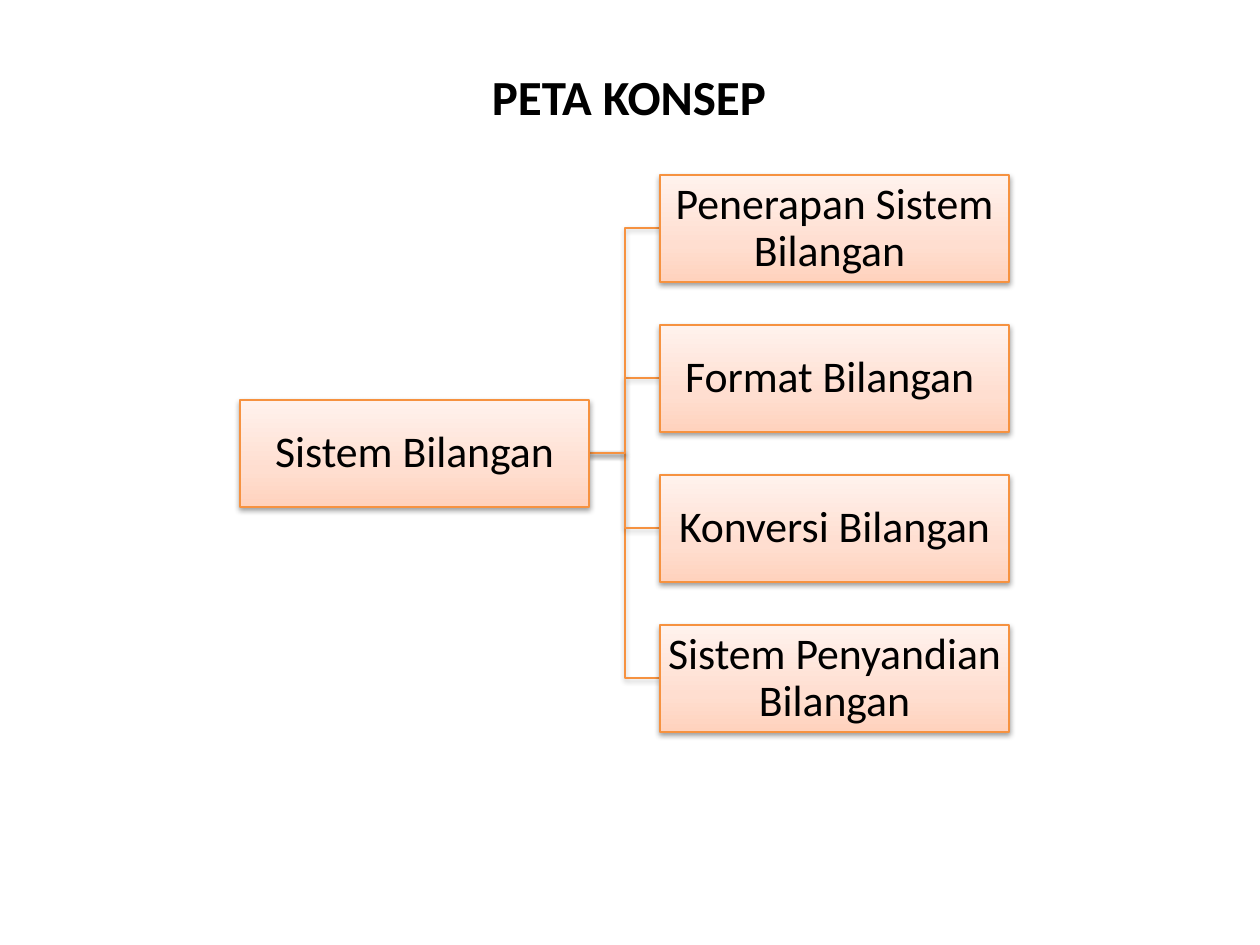
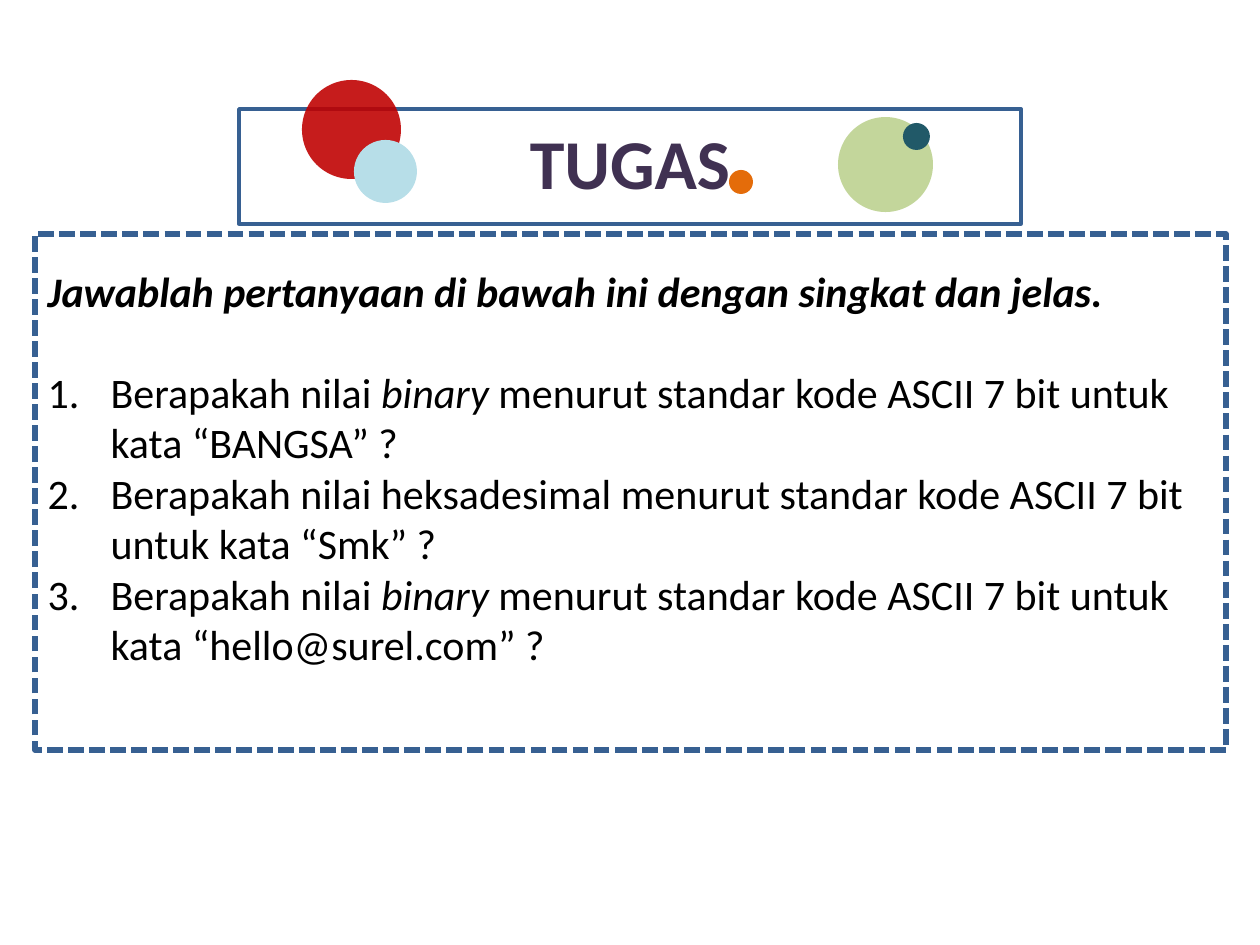
import copy
from dataclasses import dataclass

import pptx
import pptx.dml.color
import pptx.enum.dml
import pptx.enum.shapes
import pptx.enum.text
import pptx.oxml
import pptx.oxml.ns
import pptx.util

Pt = pptx.util.Pt
Align = pptx.enum.text.PP_ALIGN
Anchor = pptx.enum.text.MSO_ANCHOR
Kind = pptx.enum.shapes.MSO_SHAPE
qn = pptx.oxml.ns.qn

SCALE = 914400 / 126
FONT = "Calibri"
BLACK, WHITE, BLUE, PLUM, ORANGE = "000000", "FFFFFF", "376092", "403152", "F69240"
SHADES = ((0, "FFD2BD"), (0.35, "FFDED0"), (1, "FFF2ED"))


@dataclass
class Box:
    left: int
    top: int
    width: int
    height: int

    @property
    def right(self) -> int:
        return self.left + self.width

    @property
    def middle(self) -> int:
        return self.top + self.height // 2


@dataclass
class Run:
    text: str
    bold: bool = False
    italic: bool = False


@dataclass
class Dot:
    left: int
    top: int
    size: int
    color: str
    alpha: int = 100


ROOT = "Sistem Bilangan"
TOPICS = (
    "Penerapan Sistem Bilangan ",
    "Format Bilangan ",
    "Konversi Bilangan",
    "Sistem Penyandian Bilangan",
)
TOPIC = Box(660, 175, 349, 107)
PITCH = 150
TRUNK = 625

DOTS = (
    Dot(302, 80, 99, "C00000", 89),
    Dot(354, 140, 63, "B7DEE8"),
    Dot(838, 117, 95, "C3D69B"),
    Dot(903, 123, 27, "215968"),
    Dot(729, 170, 24, "E46C0A"),
)
ORDER = Run("Jawablah pertanyaan di bawah ini dengan singkat dan jelas.", True, True)
TASKS = (
    (Run("Berapakah nilai "), Run("binary ", italic=True),
     Run("menurut standar kode ASCII 7 bit untuk kata “BANGSA” ?")),
    (Run("Berapakah nilai heksadesimal menurut standar kode ASCII 7 bit untuk kata “Smk” ?"),),
    (Run("Berapakah nilai "), Run("binary ", italic=True),
     Run("menurut standar kode ASCII 7 bit untuk kata “hello@surel.com” ?")),
)


def px(length: float) -> int:
    return round(length * SCALE)


def rgb(code: str):
    return pptx.dml.color.RGBColor.from_string(code)


def place(shape, box: Box) -> None:
    shape.left, shape.top = px(box.left), px(box.top)
    shape.width, shape.height = px(box.width), px(box.height)


def paint(shape, color: str) -> None:
    shape.fill.solid()
    shape.fill.fore_color.rgb = rgb(color)


def edge(shape, color: str, width: float) -> None:
    shape.line.color.rgb = rgb(color)
    shape.line.width = Pt(width)


def write(para, runs, size: int, color: str = BLACK) -> None:
    for part in runs:
        run = para.add_run()
        run.text = part.text
        font = run.font
        font.name, font.size = FONT, Pt(size)
        font.bold, font.italic = part.bold, part.italic
        font.color.rgb = rgb(color)


def head(slide, text: str, box: Box, size: int, color: str = BLACK):
    """Set the title placeholder and return it."""
    title = slide.shapes.title
    place(title, box)
    frame = title.text_frame
    frame.auto_size = pptx.enum.text.MSO_AUTO_SIZE.NONE
    frame.vertical_anchor = Anchor.TOP
    para = frame.paragraphs[0]
    para.alignment = Align.CENTER
    write(para, [Run(text, bold=True)], size, color)
    return title


def shade(shape) -> None:
    """Give the upward three-stop gradient."""
    shape.fill.gradient()
    shape.fill.gradient_angle = 90
    stops = next(shape._element.spPr.iter(qn("a:gsLst")))
    stops.insert(1, copy.deepcopy(stops[0]))
    for stop, (spot, color) in zip(shape.fill.gradient_stops, SHADES):
        stop.position = spot
        stop.color.rgb = rgb(color)


def lift(shape) -> None:
    """Give the soft shadow below."""
    shape.shadow.inherit = False
    glow = pptx.oxml.parse_xml(
        '<a:outerShdw xmlns:a="http://schemas.openxmlformats.org/drawingml/2006/main"'
        ' blurRad="40000" dist="20000" dir="5400000" rotWithShape="0">'
        '<a:srgbClr val="000000"><a:alpha val="38000"/></a:srgbClr></a:outerShdw>')
    shape._element.spPr.find(qn("a:effectLst")).append(glow)


def node(slide, text: str, box: Box) -> None:
    shape = slide.shapes.add_shape(Kind.RECTANGLE, 0, 0, 0, 0)
    place(shape, box)
    shade(shape)
    edge(shape, ORANGE, 0.75)
    lift(shape)
    frame = shape.text_frame
    frame.word_wrap = True
    frame.vertical_anchor = Anchor.MIDDLE
    frame.margin_left = frame.margin_right = px(2)
    frame.margin_top = frame.margin_bottom = px(2)
    para = frame.paragraphs[0]
    para.alignment = Align.CENTER
    para.line_spacing = 0.9
    write(para, [Run(text)], 25)


def branch(slide, start: Box, end: Box) -> None:
    pen = slide.shapes.build_freeform(start.right, start.middle, scale=SCALE)
    pen.add_line_segments(
        [(TRUNK, start.middle), (TRUNK, end.middle), (end.left, end.middle)], close=False)
    shape = pen.convert_to_shape()
    shape.fill.background()
    edge(shape, ORANGE, 0.75)
    lift(shape)


def disc(slide, dot: Dot) -> None:
    shape = slide.shapes.add_shape(Kind.OVAL, 0, 0, 0, 0)
    place(shape, Box(dot.left, dot.top, dot.size, dot.size))
    paint(shape, dot.color)
    shape.line.fill.background()
    shape.shadow.inherit = False
    if dot.alpha < 100:
        tint = next(shape._element.spPr.iter(qn("a:srgbClr")))
        tint.makeelement(qn("a:alpha"))
        pptx.oxml.ns  # namespace map used by qn
        alpha = tint.makeelement(qn("a:alpha"), {"val": str(dot.alpha * 1000)})
        tint.append(alpha)


def mark(para, bullet: str, indent: int) -> None:
    """Set the bullet kind and a hanging indent."""
    props = para._p.get_or_add_pPr()
    props.set("marL", str(px(indent)))
    props.set("indent", str(-px(indent)))
    kind = {"type": "arabicPeriod"} if bullet == "a:buAutoNum" else {}
    props.append(props.makeelement(qn(bullet), kind))


def concept(deck) -> None:
    slide = deck.slides.add_slide(deck.slide_layouts[5])
    head(slide, "PETA KONSEP", Box(147, 60, 964, 72), 28)
    boxes = [Box(TOPIC.left, TOPIC.top + PITCH * i, TOPIC.width, TOPIC.height)
             for i in range(len(TOPICS))]
    root = Box(240, (boxes[0].top + boxes[-1].top) // 2, TOPIC.width, TOPIC.height)
    for box in reversed(boxes):
        branch(slide, root, box)
    node(slide, ROOT, root)
    for text, box in zip(TOPICS, boxes):
        node(slide, text, box)


def task(deck) -> None:
    slide = deck.slides.add_slide(deck.slide_layouts[1])
    title = head(slide, "TUGAS", Box(239, 109, 782, 115), 40, PLUM)
    title.text_frame.margin_top = px(10)
    paint(title, WHITE)
    edge(title, BLUE, 2)

    body = slide.placeholders[1]
    place(body, Box(35, 234, 1191, 516))
    paint(body, WHITE)
    edge(body, BLUE, 3)
    body.line.dash_style = pptx.enum.dml.MSO_LINE.SQUARE_DOT
    frame = body.text_frame
    frame.auto_size = pptx.enum.text.MSO_AUTO_SIZE.NONE
    frame.vertical_anchor = Anchor.MIDDLE
    frame.margin_bottom = px(56)
    lead = frame.paragraphs[0]
    lead.space_before, lead.space_after = Pt(0), Pt(29)
    mark(lead, "a:buNone", 0)
    write(lead, [ORDER], 24)
    for runs in TASKS:
        para = frame.add_paragraph()
        para.space_before = Pt(0)
        mark(para, "a:buAutoNum", 63)
        write(para, runs, 24)

    for dot in DOTS:
        disc(slide, dot)


def main() -> None:
    deck = pptx.Presentation()
    deck.slide_width, deck.slide_height = px(1260), px(945)
    concept(deck)
    task(deck)
    deck.save("out.pptx")


if __name__ == "__main__":
    main()
